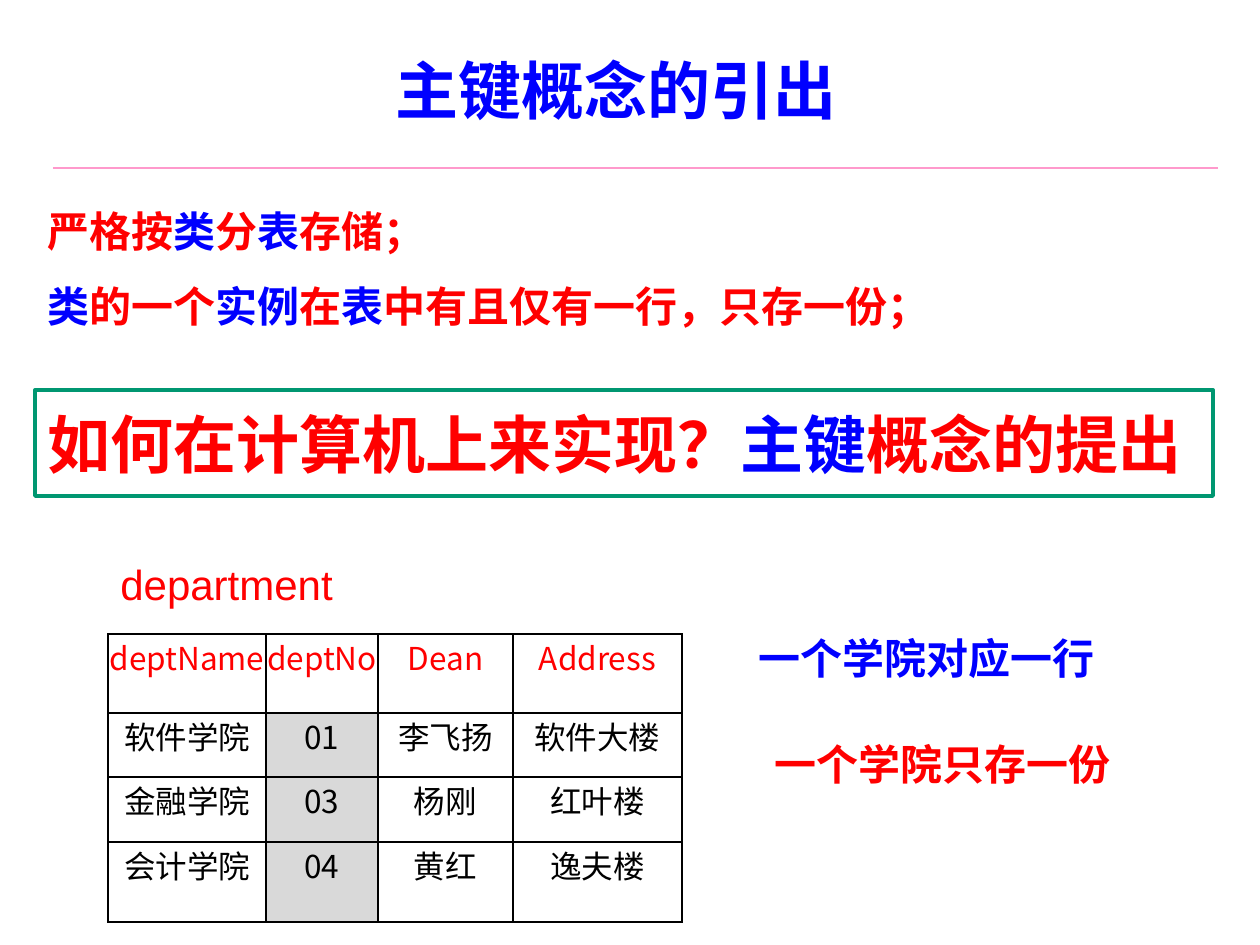
from dataclasses import dataclass

from lxml.etree import SubElement
from pptx import Presentation
from pptx.dml.color import RGBColor
from pptx.enum.shapes import MSO_CONNECTOR, MSO_SHAPE
from pptx.enum.text import MSO_ANCHOR, PP_ALIGN
from pptx.oxml.ns import qn
from pptx.util import Pt


@dataclass(frozen=True)
class Theme:
    red: str = "FF0000"
    blue: str = "0000FF"
    black: str = "000000"
    pink: str = "FF99CC"
    green: str = "009771"
    gray: str = "D9D9D9"
    chinese: str = "Noto Sans CJK SC"
    latin: str = "Arial"
    heading: int = 36
    body: int = 24
    cell: int = 18


THEME = Theme()
RED, BLUE = THEME.red, THEME.blue

TITLE = [[("主键概念的引出", BLUE)]]
PRINCIPLES = [
    [("严格按", RED), ("类", BLUE), ("分", RED), ("表", BLUE), ("存储；", RED)],
    [("类", BLUE), ("的一个", RED), ("实例", BLUE), ("在", RED), ("表", BLUE),
     ("中有且仅有一行，只存一份；", RED)],
]
QUESTION = [[("如何在计算机上来实现？", RED), ("主键", BLUE), ("概念的提出", RED)]]
TABLE_NAME = [[("department", RED)]]
NOTES = [("一个学院对应一行", BLUE, 746, 626), ("一个学院只存一份", RED, 762, 732)]
ROWS = [
    ("deptName", "deptNo", "Dean", "Address"),
    ("软件学院", "01", "李飞扬", "软件大楼"),
    ("金融学院", "03", "杨刚", "红叶楼"),
    ("会计学院", "04", "黄红", "逸夫楼"),
]
KEY_COLUMN = 1
COLUMN_WIDTHS = (158, 112, 135, 169)
ROW_HEIGHTS = (79, 64, 65, 80)


def px(length):
    return round(length * 914400 / 126)


def color(code):
    return RGBColor.from_string(code)


def style(span, code, size, font, bold):
    span.font.size, span.font.name, span.font.bold = Pt(size), font, bold
    span.font.color.rgb = color(code)
    SubElement(span.font._element, qn("a:ea"), typeface=font)


def write(frame, lines, size, font=THEME.chinese, bold=True,
          align=PP_ALIGN.LEFT, spacing=None):
    """Fill a text frame with lines of (text, colour) spans."""
    frame.word_wrap = True
    for index, line in enumerate(lines):
        para = frame.add_paragraph() if index else frame.paragraphs[0]
        para.alignment = align
        if spacing:
            para.line_spacing = spacing
        for text, code in line:
            span = para.add_run()
            span.text = text
            style(span, code, size, font, bold)


def add_text(page, area, lines, size, anchor=MSO_ANCHOR.TOP, **options):
    box = page.shapes.add_textbox(*map(px, area))
    box.text_frame.vertical_anchor = anchor
    write(box.text_frame, lines, size, **options)


def add_rule(page):
    rule = page.shapes.add_connector(
        MSO_CONNECTOR.STRAIGHT, px(53), px(168), px(1218), px(168))
    rule.line.color.rgb = color(THEME.pink)
    rule.line.width = Pt(1.5)
    SubElement(rule._element.spPr, qn("a:effectLst"))


def add_question(page):
    box = page.shapes.add_shape(
        MSO_SHAPE.RECTANGLE, px(35), px(390), px(1178), px(106))
    box.shadow.inherit = False
    box.fill.background()
    box.line.color.rgb = color(THEME.green)
    box.line.width = Pt(2.25)
    frame = box.text_frame
    frame.margin_top = frame.margin_bottom = 0
    frame.vertical_anchor = MSO_ANCHOR.MIDDLE
    write(frame, QUESTION, THEME.heading)


def add_borders(cell):
    """Borders must come before the fill in the cell properties."""
    properties = cell._tc.get_or_add_tcPr()
    for index, side in enumerate(("a:lnL", "a:lnR", "a:lnT", "a:lnB")):
        line = properties.makeelement(qn(side), {"w": str(Pt(1))})
        fill = SubElement(line, qn("a:solidFill"))
        SubElement(fill, qn("a:srgbClr"), val=THEME.black)
        properties.insert(index, line)


def add_departments(page):
    table = page.shapes.add_table(
        len(ROWS), len(COLUMN_WIDTHS), px(108), px(634),
        px(sum(COLUMN_WIDTHS)), px(sum(ROW_HEIGHTS))).table
    table.first_row = table.horz_banding = False
    for column, width in zip(table.columns, COLUMN_WIDTHS):
        column.width = px(width)
    for r, (values, height) in enumerate(zip(ROWS, ROW_HEIGHTS)):
        table.rows[r].height = px(height)
        for c, value in enumerate(values):
            cell = table.cell(r, c)
            cell.margin_left = cell.margin_right = 0
            cell.margin_top = cell.margin_bottom = 0
            if r and c == KEY_COLUMN:
                cell.fill.solid()
                cell.fill.fore_color.rgb = color(THEME.gray)
            else:
                cell.fill.background()
            add_borders(cell)
            write(cell.text_frame, [[(value, THEME.black if r else RED)]],
                  THEME.cell, bold=False, align=PP_ALIGN.CENTER)


def main():
    deck = Presentation()
    deck.slide_width, deck.slide_height = px(1260), px(945)
    page = deck.slides.add_slide(deck.slide_layouts[6])
    add_rule(page)
    add_text(page, (35, 21, 1162, 136), TITLE, THEME.heading,
             anchor=MSO_ANCHOR.MIDDLE, align=PP_ALIGN.CENTER)
    add_text(page, (35, 174, 920, 217), PRINCIPLES, THEME.body, spacing=1.5)
    add_departments(page)
    add_text(page, (108, 552, 315, 63), TABLE_NAME, THEME.body,
             anchor=MSO_ANCHOR.MIDDLE, font=THEME.latin, bold=False)
    add_question(page)
    for text, code, left, top in NOTES:
        add_text(page, (left, top, 370, 63), [[(text, code)]], THEME.body)
    deck.save("out.pptx")


if __name__ == "__main__":
    main()
